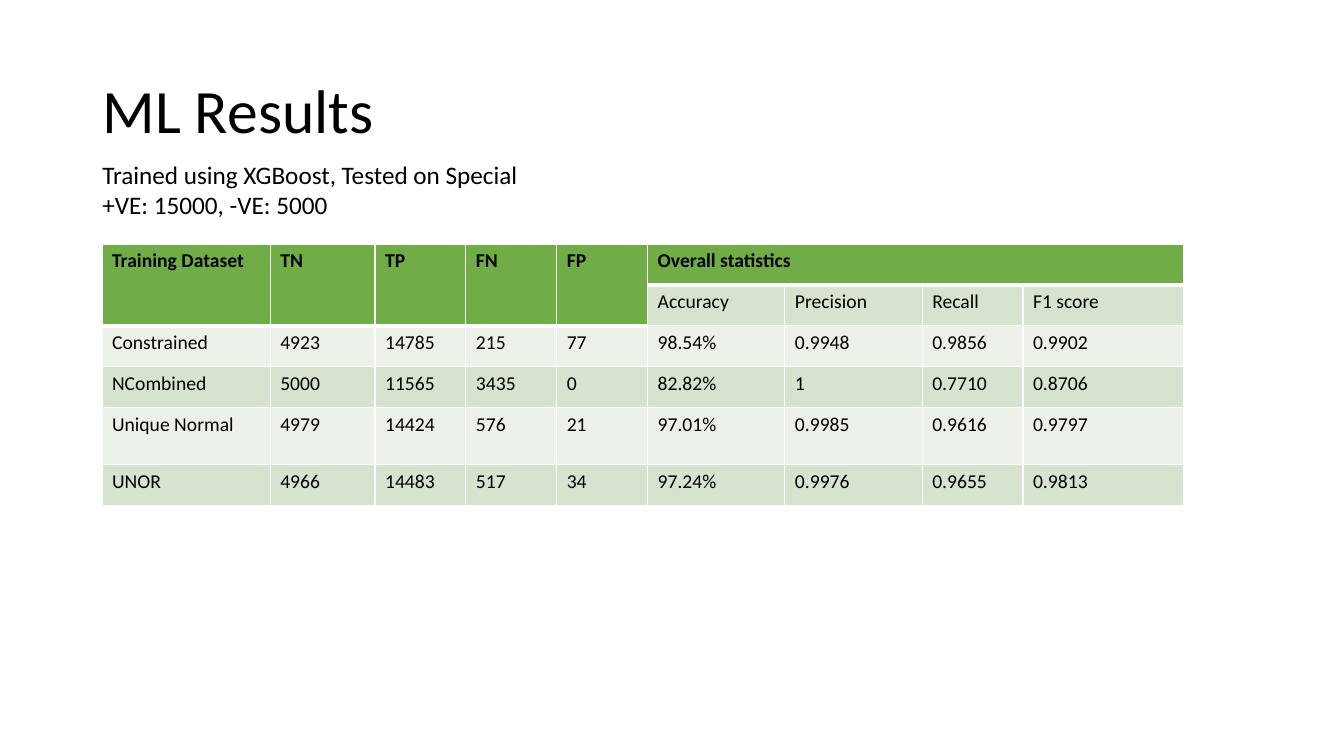
from pptx import Presentation
from pptx.dml.color import RGBColor
from pptx.enum.text import MSO_ANCHOR as Anchor, MSO_AUTO_SIZE as AutoSize, PP_ALIGN as Align
from pptx.oxml import parse_xml
from pptx.oxml.ns import nsdecls
from pptx.util import Cm, Pt

FONT = "Calibri"
BLACK = RGBColor(0x00, 0x00, 0x00)
WHITE = RGBColor(0xFF, 0xFF, 0xFF)
GREEN = RGBColor(0x70, 0xAD, 0x47)
BAND_DARK = RGBColor(0xD5, 0xE3, 0xCF)
BAND_LIGHT = RGBColor(0xEB, 0xF1, 0xE9)

COUNT_COLUMNS = 5
COLUMN_WIDTHS = [4.24, 2.64, 2.29, 2.29, 2.29, 3.46, 3.46, 2.54, 4.04]
ROW_HEIGHTS = [1.03, 1.03, 1.03, 1.03, 1.44, 1.03]
RESULTS = [
    ["Training Dataset", "TN", "TP", "FN", "FP", "Overall statistics", "", "", ""],
    ["", "", "", "", "", "Accuracy", "Precision", "Recall", "F1 score"],
    ["Constrained", "4923", "14785", "215", "77", "98.54%", "0.9948", "0.9856", "0.9902"],
    ["NCombined", "5000", "11565", "3435", "0", "82.82%", "1", "0.7710", "0.8706"],
    ["Unique Normal", "4979", "14424", "576", "21", "97.01%", "0.9985", "0.9616", "0.9797"],
    ["UNOR", "4966", "14483", "517", "34", "97.24%", "0.9976", "0.9655", "0.9813"],
]


def write(para, text, size=14, bold=False, line_spacing=1.0):
    para.alignment = Align.LEFT
    para.line_spacing = line_spacing
    span = para.add_run()
    span.text = text
    span.font.name = FONT
    span.font.size = Pt(size)
    span.font.bold = bold
    span.font.color.rgb = BLACK


def add_title(page, text):
    title = page.shapes.title
    title.left, title.top, title.width, title.height = Cm(2.33), Cm(1.01), Cm(29.21), Cm(3.68)
    frame = title.text_frame
    frame.auto_size = AutoSize.NONE
    frame.vertical_anchor = Anchor.MIDDLE
    write(frame.paragraphs[0], text, size=44, line_spacing=0.9)


def add_text(page, lines, left, top, width, height):
    frame = page.shapes.add_textbox(left, top, width, height).text_frame
    frame.word_wrap = True
    frame.auto_size = AutoSize.SHAPE_TO_FIT_TEXT
    for index, line in enumerate(lines):
        para = frame.add_paragraph() if index else frame.paragraphs[0]
        write(para, line, size=18)


def add_border(cell, side, points):
    cell._tc.get_or_add_tcPr().append(parse_xml(
        f'<a:{side} {nsdecls("a")} w="{Pt(points)}"><a:solidFill>'
        f'<a:srgbClr val="{WHITE}"/></a:solidFill></a:{side}>'))


def format_cell(cell, text, row, column):
    header = row == 0 or (row == 1 and column < COUNT_COLUMNS)
    # Borders come before the fill in the cell properties
    for side in ("lnL", "lnR"):
        add_border(cell, side, 1)
    if row == 0:
        add_border(cell, "lnT", 1)
    add_border(cell, "lnB", 3 if header else 1)
    cell.fill.solid()
    cell.fill.fore_color.rgb = GREEN if header else BAND_DARK if row % 2 else BAND_LIGHT
    if text:
        write(cell.text_frame.paragraphs[0], text, bold=header)


def add_results_table(page, left, top):
    frame = page.shapes.add_table(len(RESULTS), len(COLUMN_WIDTHS), left, top,
                                  Cm(sum(COLUMN_WIDTHS)), Cm(sum(ROW_HEIGHTS)))
    table = frame.table
    table.first_row = table.horz_banding = False
    for column, width in zip(table.columns, COLUMN_WIDTHS):
        column.width = Cm(width)
    for row, height in zip(table.rows, ROW_HEIGHTS):
        row.height = Cm(height)
    for row, texts in enumerate(RESULTS):
        for column, text in enumerate(texts):
            format_cell(table.cell(row, column), text, row, column)
    # Header cells: counts span two rows, statistics span the other columns
    for column in range(COUNT_COLUMNS):
        table.cell(0, column).merge(table.cell(1, column))
    table.cell(0, COUNT_COLUMNS).merge(table.cell(0, len(COLUMN_WIDTHS) - 1))


def main():
    deck = Presentation()
    deck.slide_width, deck.slide_height = Cm(33.87), Cm(19.05)
    page = deck.slides.add_slide(deck.slide_layouts[5])

    # Heading
    add_title(page, "ML Results")
    add_text(page, ["Trained using XGBoost, Tested on Special", "+VE: 15000, -VE: 5000"],
             Cm(2.33), Cm(3.89), Cm(16.61), Cm(2.57))

    # Results
    add_results_table(page, Cm(2.57), Cm(6.15))

    deck.save("out.pptx")


if __name__ == "__main__":
    main()
